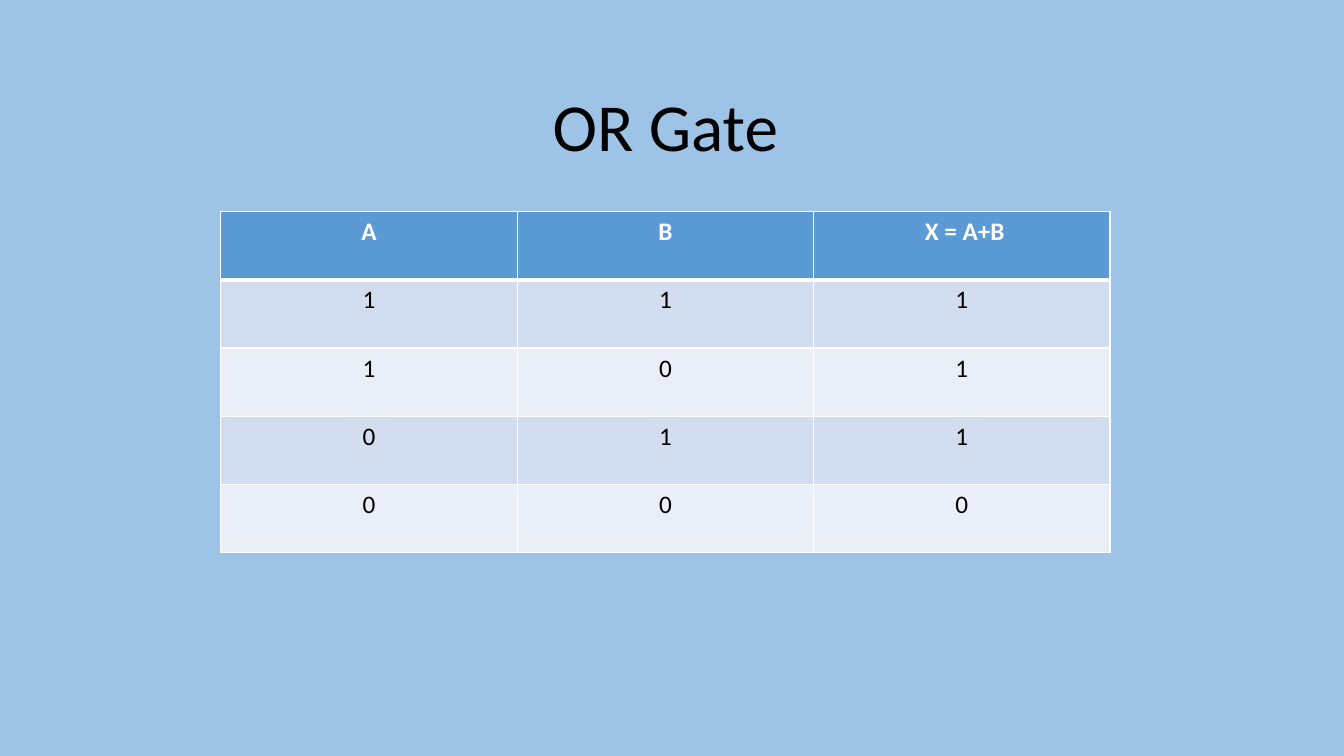
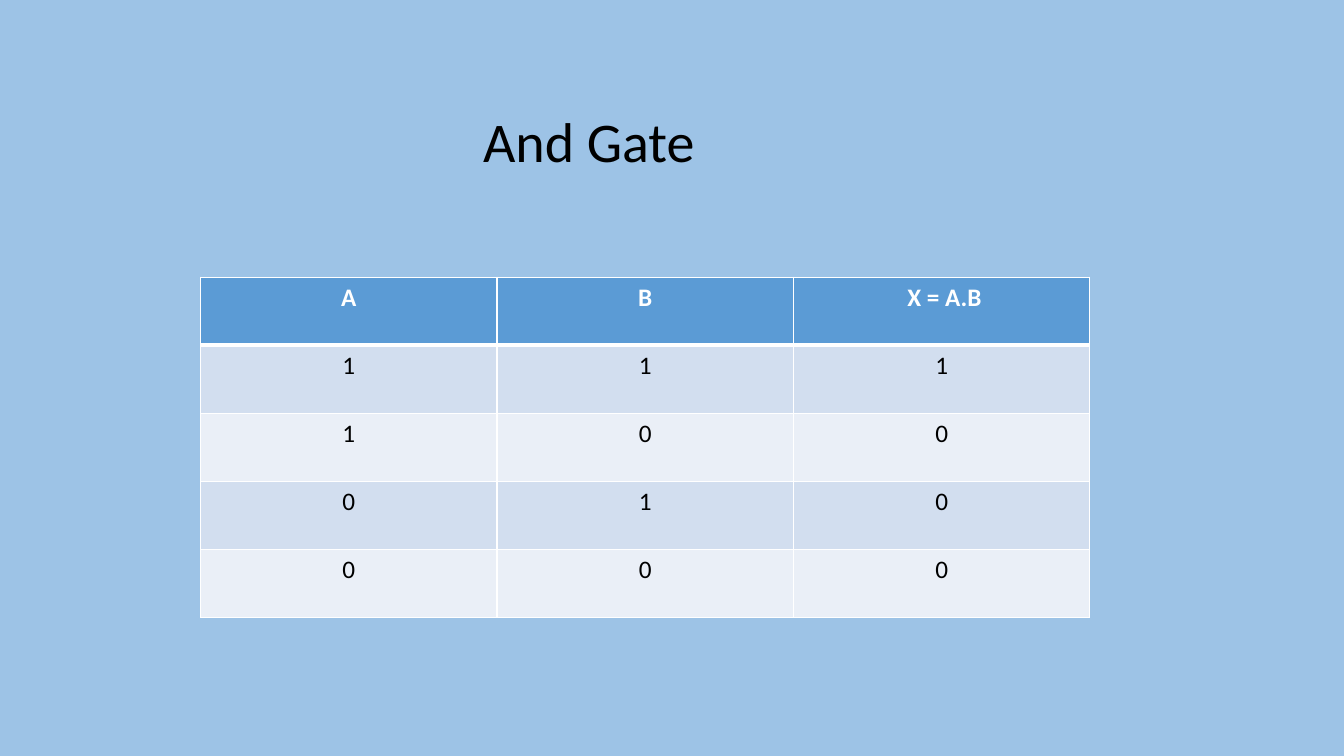
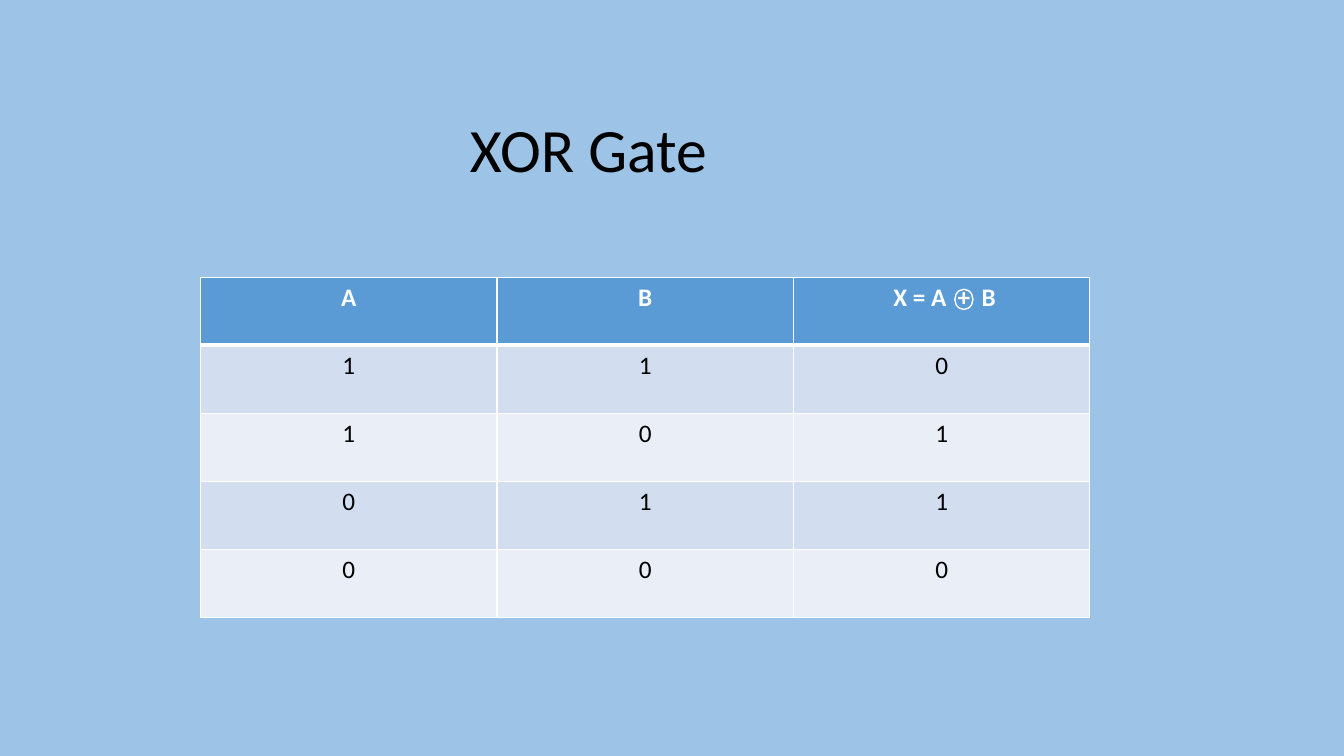
from dataclasses import dataclass
from typing import Any

from lxml import etree
from pptx import Presentation
from pptx import util as u
from pptx.dml import color
from pptx.enum import shapes, text
from pptx.oxml import ns

FONT = "Calibri"
SKY, HEAD, ODD, EVEN = "9DC3E6", "5B9BD5", "D2DEEF", "EAEFF7"
WHITE, BLACK = "FFFFFF", "000000"
INPUTS = (("1", "1"), ("1", "0"), ("0", "1"), ("0", "0"))
TABLE_SIZE = (8.82, 3.38)
WIDE_GAP = 4  # extra points after a lone space

TOP, BOTTOM = text.MSO_ANCHOR.TOP, text.MSO_ANCHOR.BOTTOM
LEFT, MID = text.PP_ALIGN.LEFT, text.PP_ALIGN.CENTER

Box = tuple[float, float, float, float]


@dataclass(frozen=True)
class Gate:
    name: str
    box: Box
    size: int
    label: tuple[str, ...]
    outs: str
    corner: tuple[float, float] = (1.99, 2.75)
    align: Any = MID
    anchor: Any = TOP
    pitch: float = 1.0
    ring: Box | None = None


GATES = (
    Gate("OR Gate", (4.5, 0.36, 4.2, 1.34), 48, (" X = A+B",), "1110",
         corner=(2.19, 2.1), anchor=BOTTOM, pitch=0.9),
    Gate("And Gate", (4.3, 1.01, 3.08, 0.77), 40, (" X = A.B",), "1000"),
    Gate("XOR Gate", (4.56, 1.05, 3.19, 0.84), 44,
         (" X = A", " ", "+", " ", "B"), "0110",
         align=LEFT, ring=(9.47, 2.87, 0.18, 0.2)),
)


def rgb(code: str) -> color.RGBColor:
    return color.RGBColor.from_string(code)


def inches(vals: tuple[float, ...]) -> list[u.Length]:
    return [u.Inches(val) for val in vals]


def write(para, parts: tuple[str, ...], size: int, ink: str,
          bold: bool, align) -> None:
    """Add one run per part; a part that is a lone space is widened."""
    para.alignment = align
    for part in parts:
        run = para.add_run()
        run.text = part
        font = run.font
        font.name, font.size, font.bold = FONT, u.Pt(size), bold
        font.color.rgb = rgb(ink)
        if part == " ":
            font._element.set("spc", str(WIDE_GAP * 100))


def edge(cell, sides: dict[str, int]) -> None:
    """Draw white cell borders, given as side letter and points."""
    props = cell._tc.get_or_add_tcPr()
    for pos, side in enumerate("LRTB"):
        line = etree.Element(ns.qn(f"a:ln{side}"), w=str(u.Pt(sides[side])))
        fill = etree.SubElement(line, ns.qn("a:solidFill"))
        etree.SubElement(fill, ns.qn("a:srgbClr"), val=WHITE)
        props.insert(pos, line)


def add_title(slide, gate: Gate) -> None:
    title = slide.shapes.title
    title.left, title.top, title.width, title.height = inches(gate.box)
    frame = title.text_frame
    frame.word_wrap = True
    frame.auto_size = text.MSO_AUTO_SIZE.NONE
    frame.vertical_anchor = gate.anchor
    para = frame.paragraphs[0]
    para.line_spacing = gate.pitch
    write(para, (gate.name,), gate.size, BLACK, False, gate.align)


def add_truth(slide, gate: Gate) -> None:
    """Add the truth table of a gate."""
    rows = [(("A",), ("B",), gate.label)]
    rows += [((a,), (b,), (out,)) for (a, b), out in zip(INPUTS, gate.outs)]
    grid = slide.shapes.add_table(
        len(rows), 3, *inches(gate.corner + TABLE_SIZE)).table
    for r, row in enumerate(rows):
        head = r == 0
        back = HEAD if head else ODD if r % 2 else EVEN
        sides = {"L": 1, "R": 1, "T": 3 if r == 1 else 1, "B": 3 if head else 1}
        for c, parts in enumerate(row):
            cell = grid.cell(r, c)
            cell.fill.solid()
            cell.fill.fore_color.rgb = rgb(back)
            edge(cell, sides)
            write(cell.text_frame.paragraphs[0], parts, 18,
                  WHITE if head else BLACK, head, MID)


def add_ring(slide, box: Box) -> None:
    ring = slide.shapes.add_shape(shapes.MSO_SHAPE.OVAL, *inches(box))
    ring.shadow.inherit = False
    ring.fill.background()
    ring.line.color.rgb = rgb(WHITE)
    ring.line.width = u.Pt(1)


def main() -> None:
    deck = Presentation()
    deck.slide_width, deck.slide_height = inches((13.33, 7.5))
    back = deck.slide_master.background.fill
    back.solid()
    back.fore_color.rgb = rgb(SKY)
    for gate in GATES:
        slide = deck.slides.add_slide(deck.slide_layouts.get_by_name("Title Only"))
        add_title(slide, gate)
        add_truth(slide, gate)
        if gate.ring:
            add_ring(slide, gate.ring)
    deck.save("out.pptx")


if __name__ == "__main__":
    main()
